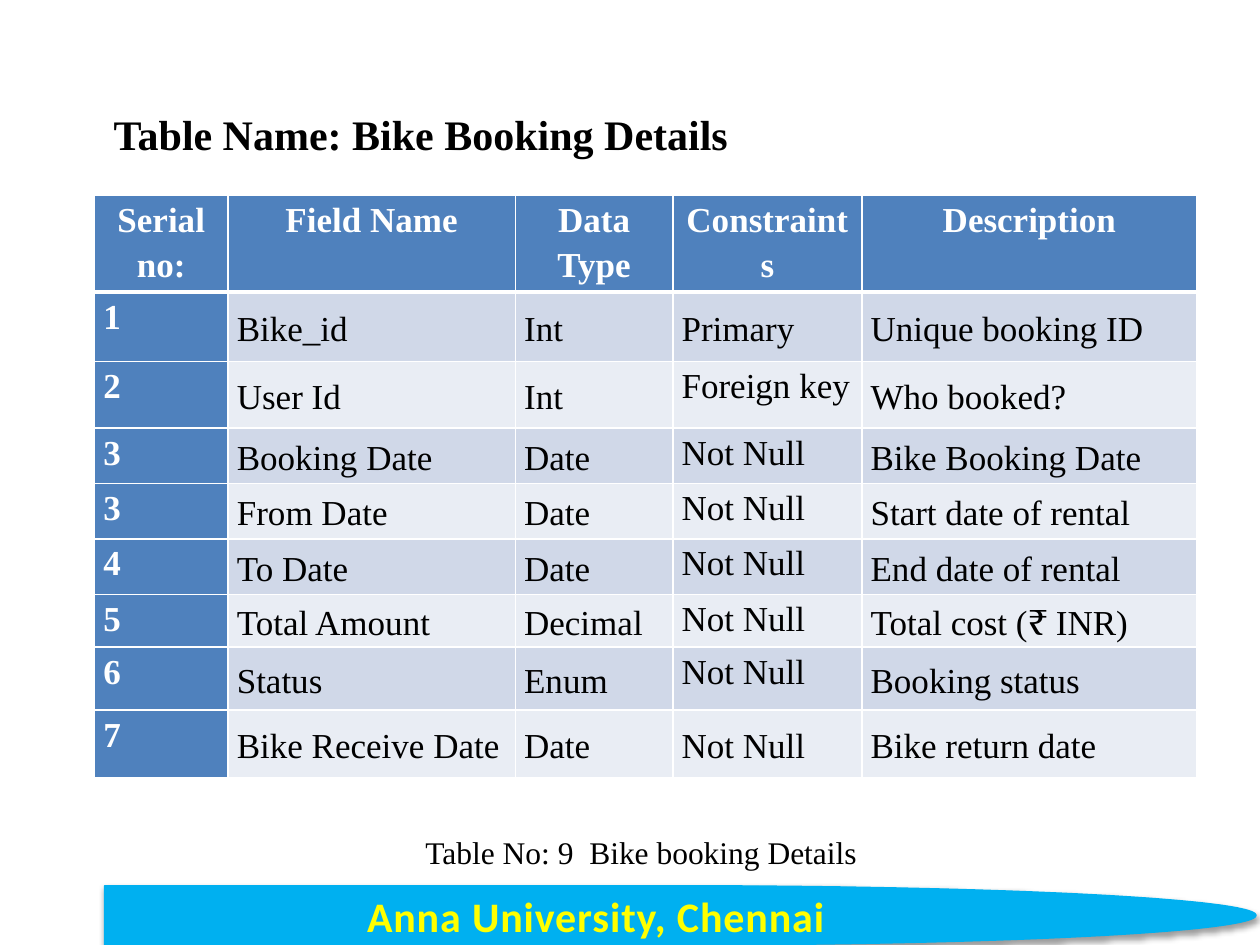
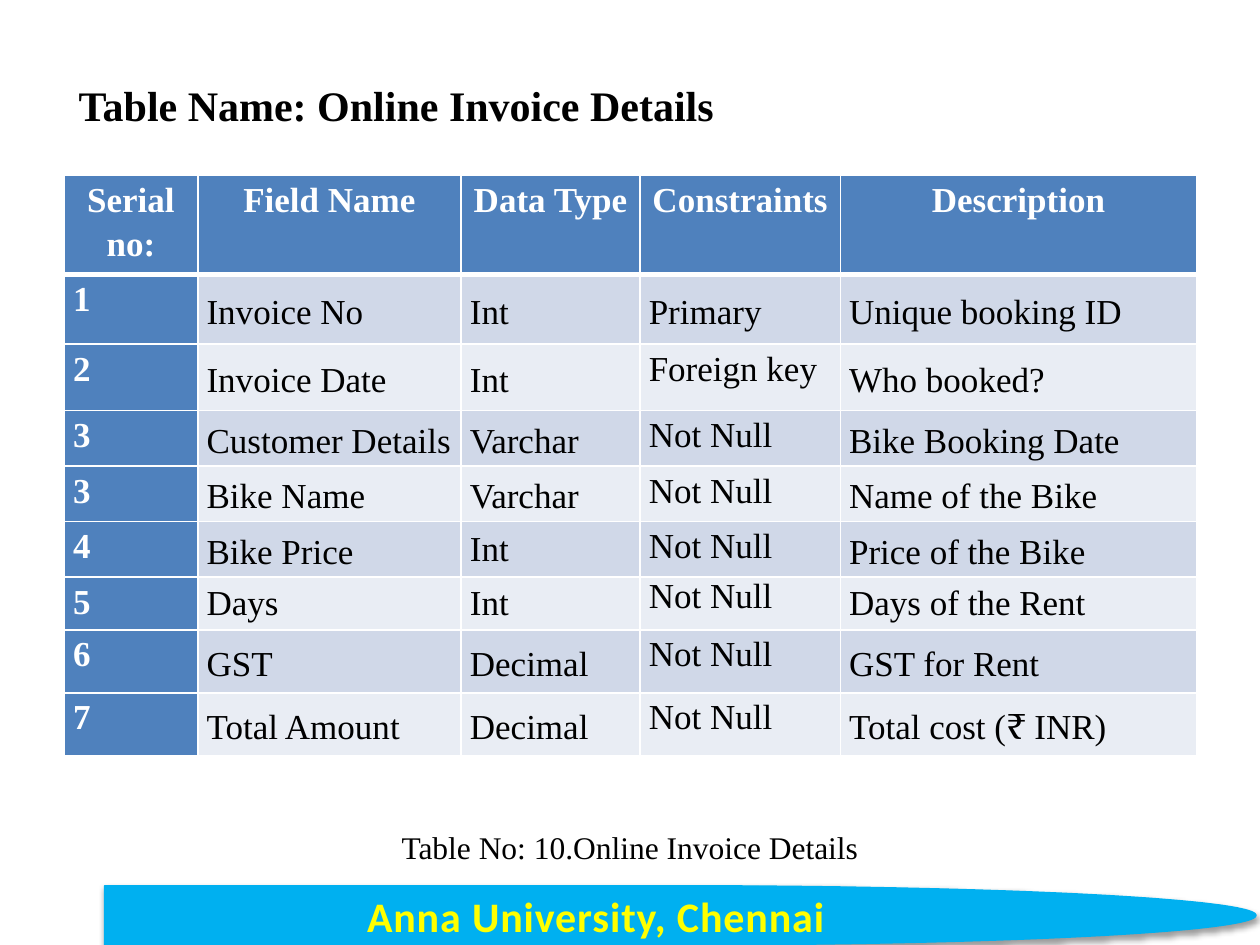
from pptx import Presentation
from pptx.dml.color import RGBColor
from pptx.enum.shapes import MSO_SHAPE
from pptx.enum.text import MSO_ANCHOR, MSO_AUTO_SIZE, PP_ALIGN
from pptx.oxml import parse_xml
from pptx.oxml.ns import nsdecls
from pptx.util import Inches, Pt

TOP, MIDDLE = MSO_ANCHOR.TOP, MSO_ANCHOR.MIDDLE
LEFT, CENTER = PP_ALIGN.LEFT, PP_ALIGN.CENTER
DELAY = MSO_SHAPE.FLOWCHART_DELAY
GROW = MSO_AUTO_SIZE.SHAPE_TO_FIT_TEXT

COLORS = {
    "white": "FFFFFF", "black": "000000", "header": "4F81BD",
    "odd_row": "D0D8E8", "even_row": "E9EDF4",
    "band": "00B0F0", "band_text": "FFFF00", "band_outline": "E78738",
}
SERIF, SANS = "Times New Roman", "Calibri"
LOOSE = 1.15

# Content
UNIVERSITY = "Anna University, Chennai"
HEADINGS = ("Serial no:", "Field Name", "Data Type", "Constraints", "Description")
SERIALS = ("1", "2", "3", "3", "4", "5", "6", "7")
CONSTRAINT_COLUMN = HEADINGS.index("Constraints")

# "centred" lists rows whose constraint sits mid-cell; "single" lists
# (row, column) cells with single line spacing.
PAGES = [
    {
        "title": "Table Name: Bike Booking Details",
        "title_at": (0.41, 0.75, 5.86, 0.53),
        "caption": "Table No: 9  Bike booking Details",
        "caption_at": (2.58, 6.52, 5.02, 0.45),
        "spacing": LOOSE,
        "table_at": (0.75, 1.55),
        "widths": (1.06, 2.28, 1.25, 1.5, 2.66),
        "heights": (0.63, 0.55, 0.53, 0.44, 0.44, 0.44, 0.42, 0.5, 0.54),
        "fields": [
            ("Bike_id", "Int", "Primary", "Unique booking ID"),
            ("User Id", "Int", "Foreign key", "Who booked?"),
            ("Booking Date", "Date", "Not Null", "Bike Booking Date"),
            ("From Date", "Date", "Not Null", "Start date of rental"),
            ("To Date", "Date", "Not Null", "End date of rental"),
            ("Total Amount", "Decimal", "Not Null", "Total cost (₹ INR)"),
            ("Status", "Enum", "Not Null", "Booking status"),
            ("Bike Receive Date", "Date", "Not Null", "Bike return date"),
        ],
        "centred": {1, 8},
        "single": set(),
    },
    {
        "title": "Table Name: Online Invoice Details",
        "title_at": (0.37, 0.58, 5.55, 0.5),
        "caption": "Table No: 10.Online Invoice Details",
        "caption_at": (2.49, 6.52, 5.02, 0.4),
        "spacing": None,
        "table_at": (0.51, 1.39),
        "widths": (1.06, 2.09, 1.42, 1.59, 2.83),
        "heights": (0.79, 0.55, 0.53, 0.44, 0.44, 0.44, 0.42, 0.5, 0.5),
        "fields": [
            ("Invoice No", "Int", "Primary", "Unique booking ID"),
            ("Invoice Date", "Int", "Foreign key", "Who booked?"),
            ("Customer Details", "Varchar", "Not Null", "Bike Booking Date"),
            ("Bike Name", "Varchar", "Not Null", "Name of the Bike"),
            ("Bike Price", "Int", "Not Null", "Price of the Bike"),
            ("Days", "Int", "Not Null", "Days of the Rent"),
            ("GST", "Decimal", "Not Null", "GST for Rent"),
            ("Total Amount", "Decimal", "Not Null", "Total cost (₹ INR)"),
        ],
        "centred": {1},
        "single": {(5, 2), (6, 1), (6, 2), (6, 3), (6, 4)},
    },
]


def rgb(name):
    return RGBColor.from_string(COLORS[name])


def write(frame, text, *, size, color="black", font=SERIF, bold=False,
          align=LEFT, spacing=None):
    """Fill a text frame with one formatted paragraph and return its run."""
    frame.word_wrap = True
    paragraph = frame.paragraphs[0]
    paragraph.alignment = align
    if spacing:
        paragraph.line_spacing = spacing
    run = paragraph.add_run()
    run.text = text
    run.font.size, run.font.name, run.font.bold = Pt(size), font, bold
    run.font.color.rgb = rgb(color)
    return run


def line_xml(tag, color, points):
    return parse_xml(
        f'<a:{tag} {nsdecls("a")} w="{Pt(points)}"><a:solidFill>'
        f'<a:srgbClr val="{COLORS[color]}"/></a:solidFill></a:{tag}>')


def add_band(slide):
    band = slide.shapes.add_shape(
        DELAY, Inches(0.83), Inches(7.03), Inches(9.14), Inches(0.47))
    band.fill.solid()
    band.fill.fore_color.rgb = rgb("band")
    band.line.color.rgb = rgb("band")
    band.line.width = Pt(0.75)
    # Soft shadow below the band
    band.shadow.inherit = False
    band._element.spPr.find("{*}effectLst").append(parse_xml(
        f'<a:outerShdw {nsdecls("a")} blurRad="{Pt(3.1)}" dist="{Pt(1.6)}" '
        f'dir="5400000" rotWithShape="0"><a:srgbClr val="{COLORS["black"]}">'
        '<a:alpha val="38000"/></a:srgbClr></a:outerShdw>'))
    band.text_frame.vertical_anchor = MIDDLE
    run = write(band.text_frame, UNIVERSITY, size=24, color="band_text",
                font=SANS, bold=True, align=CENTER)
    # Letter spacing and outline
    properties = run._r.get_or_add_rPr()
    properties.set("spc", "50")
    properties.insert(0, line_xml("ln", "band_outline", 1))


def add_label(slide, text, place, **text_format):
    label = slide.shapes.add_textbox(*map(Inches, place))
    write(label.text_frame, text, align=CENTER, **text_format)
    label.text_frame.auto_size = GROW


def style_cell(cell, fill, bottom):
    cell.fill.solid()
    cell.fill.fore_color.rgb = rgb(fill)
    cell.margin_left = cell.margin_right = Inches(0.07)
    cell.margin_top = cell.margin_bottom = 0
    borders = {"lnL": 1, "lnR": 1, "lnT": 1, "lnB": bottom}
    for place, (side, points) in enumerate(borders.items()):
        cell._tc.get_or_add_tcPr().insert(place, line_xml(side, "white", points))


def add_field_table(slide, page):
    widths, heights = page["widths"], page["heights"]
    rows = [HEADINGS] + [(serial, *field)
                         for serial, field in zip(SERIALS, page["fields"])]
    left, top = page["table_at"]
    table = slide.shapes.add_table(
        len(rows), len(HEADINGS), Inches(left), Inches(top),
        Inches(sum(widths)), Inches(sum(heights))).table
    for column, width in zip(table.columns, widths):
        column.width = Inches(width)
    for row, height in zip(table.rows, heights):
        row.height = Inches(height)

    for r, values in enumerate(rows):
        for c, value in enumerate(values):
            cell = table.cell(r, c)
            heading = r == 0 or c == 0
            body_fill = "odd_row" if r % 2 else "even_row"
            # The heading row has a thick rule below it
            style_cell(cell, "header" if heading else body_fill,
                       3 if r == 0 else 1)
            if r == 1:
                top_rule = cell._tc.tcPr.find("{*}lnT")
                top_rule.set("w", str(Pt(3)))
            at_top = heading or (c == CONSTRAINT_COLUMN
                                 and r not in page["centred"])
            cell.vertical_anchor = TOP if at_top else MIDDLE
            write(cell.text_frame, value, size=20, bold=heading,
                  color="white" if heading else "black",
                  align=CENTER if r == 0 else LEFT,
                  spacing=None if (r, c) in page["single"] else LOOSE)


def main():
    deck = Presentation()
    deck.slide_width, deck.slide_height = Inches(10), Inches(7.5)
    for page in PAGES:
        slide = deck.slides.add_slide(deck.slide_layouts[6])
        add_band(slide)
        add_label(slide, page["caption"], page["caption_at"], size=18,
                  spacing=page["spacing"])
        add_field_table(slide, page)
        add_label(slide, page["title"], page["title_at"], size=24, bold=True,
                  spacing=page["spacing"])
    deck.save("out.pptx")


if __name__ == "__main__":
    main()
